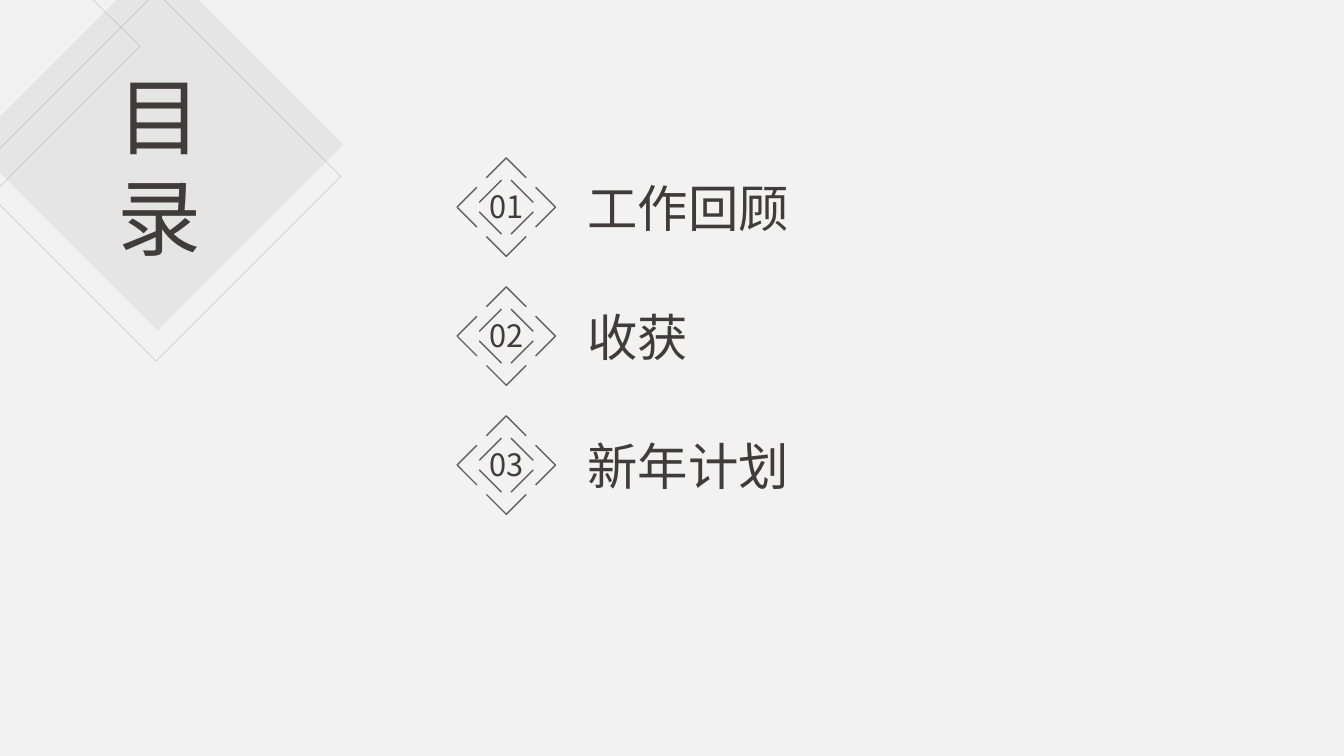
from dataclasses import dataclass

from lxml import etree
from pptx import Presentation
from pptx.dml.color import RGBColor
from pptx.enum.shapes import MSO_SHAPE
from pptx.enum.text import MSO_AUTO_SIZE, PP_ALIGN
from pptx.oxml.ns import qn
from pptx.util import Cm, Pt

DIAMOND = MSO_SHAPE.DIAMOND
LEFT, CENTER = PP_ALIGN.LEFT, PP_ALIGN.CENTER
GROW = MSO_AUTO_SIZE.SHAPE_TO_FIT_TEXT

TITLE = "目录"
CHAPTERS = ["工作回顾", "收获", "新年计划"]


@dataclass(frozen=True)
class Theme:
    font: str = "Noto Sans CJK SC"
    background: str = "F2F2F2"
    text: str = "413B39"
    badge_line: str = "616161"
    corner_fill: str = "A6A6A6"
    corner_line: str = "808080"
    corner_fill_alpha: int = 16
    corner_line_alpha: int = 48
    title_size: int = 60
    chapter_size: int = 36
    number_size: int = 22
    badge_width: float = 1
    corner_width: float = 0.25


THEME = Theme()

# Lengths in cm
SLIDE_SIZE = (33.87, 19.05)
TITLE_BOX = (2.49, 1.5, 3.07, 5.38)
FILLED_DIAMOND = (-0.71, -1.04, 9.37, 9.37)
OUTLINED_DIAMOND = (-0.71, -0.2, 9.3, 9.3)
CORNER_TRIANGLE = [(-0.05, -2.39), (3.53, 1.17), (-0.05, 4.75)]

BADGE_X, FIRST_BADGE_Y, ROW_PITCH = 12.76, 5.22, 3.25
CHEVRON_TIP, CHEVRON_BASE, CHEVRON_HALF = 1.24, 0.74, 0.5
INNER_NEAR, INNER_FAR = 0.12, 0.68
NUMBER_SIZE = (1.9, 1.19)
NUMBER_RISE = 0.62
CHAPTER_X, CHAPTER_RISE = 14.55, 0.89
CHAPTER_SIZE = (9.58, 1.8)


def set_alpha(fill, percent):
    """Make a solid fill, of a shape or a line, partly transparent."""
    color = fill._xPr.find(qn("a:solidFill"))[0]
    etree.SubElement(color, qn("a:alpha"), val=str(percent * 1000))


def style_line(shape, color, width, alpha=None):
    shape.shadow.inherit = False
    shape.line.color.rgb = RGBColor.from_string(color)
    shape.line.width = Pt(width)
    if alpha is not None:
        set_alpha(shape.line.fill, alpha)


def add_outline(shapes, points, close=False):
    (start_x, start_y), *rest = [(Cm(x), Cm(y)) for x, y in points]
    builder = shapes.build_freeform(start_x, start_y)
    builder.add_line_segments(rest, close=close)
    outline = builder.convert_to_shape()
    outline.fill.background()
    return outline


def add_text(shapes, box, words, size, align=LEFT):
    textbox = shapes.add_textbox(*map(Cm, box))
    frame = textbox.text_frame
    frame.word_wrap = True
    frame.auto_size = GROW
    paragraph = frame.paragraphs[0]
    paragraph.text = words
    paragraph.alignment = align
    font = paragraph.font
    font.size = Pt(size)
    font.color.rgb = RGBColor.from_string(THEME.text)
    font.name = THEME.font
    east_asian = etree.SubElement(font._element, qn("a:ea"))
    east_asian.set("typeface", THEME.font)


def add_corner(shapes):
    filled = shapes.add_shape(DIAMOND, *map(Cm, FILLED_DIAMOND))
    filled.shadow.inherit = False
    filled.fill.solid()
    filled.fill.fore_color.rgb = RGBColor.from_string(THEME.corner_fill)
    set_alpha(filled.fill, THEME.corner_fill_alpha)
    filled.line.fill.background()

    triangle = add_outline(shapes, CORNER_TRIANGLE, close=True)
    outlined = shapes.add_shape(DIAMOND, *map(Cm, OUTLINED_DIAMOND))
    outlined.fill.background()
    for shape in (triangle, outlined):
        style_line(shape, THEME.corner_line, THEME.corner_width,
                   THEME.corner_line_alpha)


def badge_strokes():
    """Strokes around (0, 0): four outer chevrons and four inner sides."""
    strokes = []
    for sign in (-1, 1):
        chevron = [(-CHEVRON_HALF, sign * CHEVRON_BASE),
                   (0, sign * CHEVRON_TIP),
                   (CHEVRON_HALF, sign * CHEVRON_BASE)]
        strokes += [chevron, [(y, x) for x, y in chevron]]
        strokes += [[(sign * INNER_NEAR, side * INNER_FAR),
                     (sign * INNER_FAR, side * INNER_NEAR)]
                    for side in (-1, 1)]
    return strokes


def add_badge(shapes, center_y, number):
    badge = shapes.add_group_shape().shapes
    for stroke in badge_strokes():
        points = [(BADGE_X + x, center_y + y) for x, y in stroke]
        style_line(add_outline(badge, points),
                   THEME.badge_line, THEME.badge_width)
    width, height = NUMBER_SIZE
    number_box = (BADGE_X - width / 2, center_y - NUMBER_RISE, width, height)
    add_text(badge, number_box, f"{number:02d}", THEME.number_size, CENTER)


def main():
    deck = Presentation()
    deck.slide_width, deck.slide_height = map(Cm, SLIDE_SIZE)
    slide = deck.slides.add_slide(deck.slide_layouts[6])
    backdrop = slide.background.fill
    backdrop.solid()
    backdrop.fore_color.rgb = RGBColor.from_string(THEME.background)

    add_corner(slide.shapes)
    for row, chapter in enumerate(CHAPTERS):
        center_y = FIRST_BADGE_Y + row * ROW_PITCH
        add_badge(slide.shapes, center_y, row + 1)
        chapter_box = (CHAPTER_X, center_y - CHAPTER_RISE, *CHAPTER_SIZE)
        add_text(slide.shapes, chapter_box, chapter, THEME.chapter_size)
    add_text(slide.shapes, TITLE_BOX, TITLE, THEME.title_size, CENTER)

    deck.save("out.pptx")


if __name__ == "__main__":
    main()
